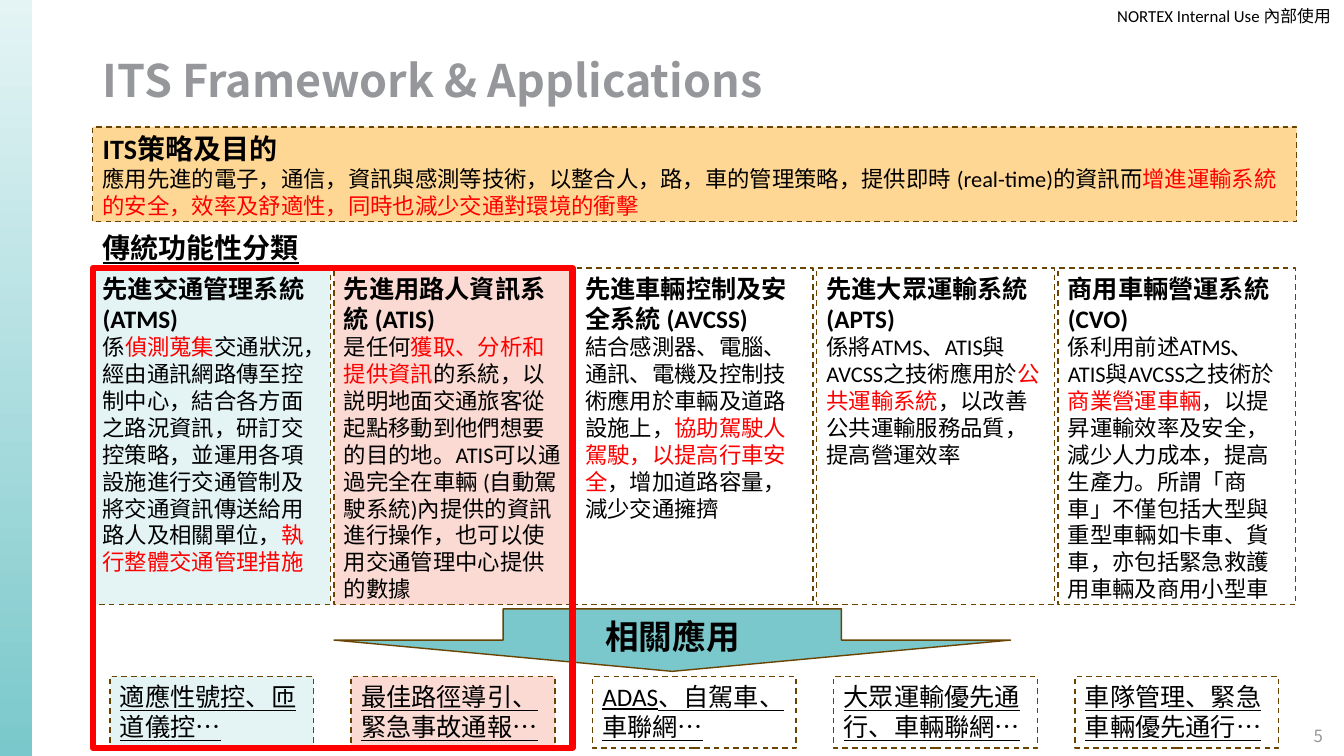
import pptx
import pptx.util
import pptx.dml.color
import pptx.enum.dml
import pptx.enum.shapes
import pptx.enum.text

Inches, Pt = pptx.util.Inches, pptx.util.Pt
RGB = pptx.dml.color.RGBColor.from_string
SHAPE = pptx.enum.shapes.MSO_SHAPE
ALIGN = pptx.enum.text.PP_ALIGN
ANCHOR = pptx.enum.text.MSO_ANCHOR
DASH = pptx.enum.dml.MSO_LINE.DASH

COLORS = {
    "black": "000000", "red": "FF0000", "gray": "95979B", "brown": "6B4300",
    "amber": "FFD794", "mint": "E4F4F5", "pink": "FADAD3", "teal": "7AC8CB",
}
HEADING = {"name": "Calibri", "size": Pt(18), "bold": True}
BODY = {"name": "Calibri", "size": Pt(16), "bold": False}
APPLICATION = {"name": "Calibri", "size": Pt(18), "underline": True}
PITCH = 2.393

# Asterisks enclose the words shown in red.
PURPOSE = ("應用先進的電子，通信，資訊與感測等技術，以整合人，路，車的管理策略，提供即時 (real-time)的資訊而"
           "*增進運輸系統的安全，效率及舒適性，同時也減少交通對環境的衝擊*")
SYSTEMS = [
    ("先進交通管理系統 (ATMS)",
     "係*偵測蒐集*交通狀況，經由通訊網路傳至控制中心，結合各方面之路況資訊，研訂交控策略，"
     "並運用各項設施進行交通管制及將交通資訊傳送給用路人及相關單位，*執行整體交通管理措施*",
     "適應性號控、匝道儀控…", "mint"),
    ("先進用路人資訊系統 (ATIS)",
     "是任何*獲取、分析和提供資訊*的系統，以説明地面交通旅客從起點移動到他們想要的目的地。"
     "ATIS可以通過完全在車輛 (自動駕駛系統)內提供的資訊進行操作，也可以使用交通管理中心提供的數據",
     "最佳路徑導引、緊急事故通報…", "pink"),
    ("先進車輛控制及安全系統 (AVCSS)",
     "結合感測器、電腦、通訊、電機及控制技術應用於車輛及道路設施上，"
     "*協助駕駛人駕駛，以提高行車安全*，增加道路容量，減少交通擁擠",
     "ADAS、自駕車、車聯網…", None),
    ("先進大眾運輸系統 (APTS)",
     "係將ATMS、ATIS與AVCSS之技術應用於*公共運輸系統*，以改善公共運輸服務品質，提高營運效率",
     "大眾運輸優先通行、車輛聯網…", None),
    ("商用車輛營運系統 (CVO)",
     "係利用前述ATMS、ATIS與AVCSS之技術於*商業營運車輛*，以提昇運輸效率及安全，減少人力成本，"
     "提高生產力。所謂「商車」不僅包括大型與重型車輛如卡車、貨車，亦包括緊急救護用車輛及商用小型車",
     "車隊管理、緊急車輛優先通行…", None),
]


def write(tf, paragraphs, color="black", align=ALIGN.LEFT, anchor=ANCHOR.TOP, wrap=True):
    """Fill a frame with (text, font format) paragraphs."""
    tf.word_wrap = wrap
    tf.vertical_anchor = anchor
    for i, (text, fmt) in enumerate(paragraphs):
        p = tf.add_paragraph() if i else tf.paragraphs[0]
        p.alignment = align
        for j, part in enumerate(text.split("*")):
            if part:
                r = p.add_run()
                r.text = part
                for name, value in fmt.items():
                    setattr(r.font, name, value)
                r.font.color.rgb = RGB(COLORS["red" if j % 2 else color])


def add_shape(s, box, kind=SHAPE.RECTANGLE, fill=None, line="brown", width=1, dash=None):
    sp = s.shapes.add_shape(kind, *map(Inches, box))
    sp.shadow.inherit = False
    if fill:
        sp.fill.solid()
        sp.fill.fore_color.rgb = RGB(COLORS[fill])
    else:
        sp.fill.background()
    if line:
        sp.line.color.rgb = RGB(COLORS[line])
        sp.line.width = Pt(width)
        sp.line.dash_style = dash
    else:
        sp.line.fill.background()
    return sp


def add_panel(s, box, paragraphs, fill=None):
    sp = add_shape(s, box, fill=fill, dash=DASH)
    write(sp.text_frame, paragraphs)


def add_label(s, box, text, fmt, **layout):
    tb = s.shapes.add_textbox(*map(Inches, box))
    write(tb.text_frame, [(text, fmt)], **layout)
    return tb


def add_frame(s, width, height):
    """Side band, confidentiality label and page number."""
    band = add_shape(s, (0, 0, 0.32, height), fill="mint", line=None)
    band.fill.gradient()
    band.fill.gradient_angle = 270
    for stop, color in zip(band.fill.gradient_stops, ("mint", "teal")):
        stop.color.rgb = RGB(COLORS[color])
    label = add_label(s, (width - 2.73, 0, 2.6, 0.32), "NORTEX Internal Use 內部使用",
                      {"name": "Calibri", "size": Pt(12)},
                      align=ALIGN.RIGHT, anchor=ANCHOR.MIDDLE)
    for side in ("left", "top", "right", "bottom"):
        setattr(label.text_frame, "margin_" + side, 0)
    add_label(s, (width - 0.47, height - 0.4, 0.43, 0.4), "5",
              {"name": "Noto Sans CJK SC", "size": Pt(12)},
              color="gray", align=ALIGN.CENTER, anchor=ANCHOR.MIDDLE)


def add_title(s, left, top, width, height):
    title = s.shapes.title
    for name, value in zip(("left", "top", "width", "height"), (left, top, width, height)):
        setattr(title, name, Inches(value))
    write(title.text_frame, [("ITS Framework & Applications",
                              {"name": "Noto Sans CJK TC", "size": Pt(32), "bold": True})],
          color="gray", anchor=ANCHOR.MIDDLE)
    title.text_frame.paragraphs[0].line_spacing = 0.9


def add_systems(s, left, top):
    add_label(s, (left, top - 0.42, 2.17, 0.44), "傳統功能性分類",
              {"name": "Arial", "size": Pt(20), "bold": True, "underline": True}, wrap=False)
    for i, (name, text, _, fill) in enumerate(SYSTEMS):
        add_panel(s, (left + i * PITCH, top, 2.36, 3.34), [(name, HEADING), (text, BODY)], fill)


def add_applications(s, left, top):
    add_shape(s, (left + PITCH, top, 6.71, 0.62), SHAPE.DOWN_ARROW, fill="teal")
    add_label(s, (left + 4.57, top + 0.02, 2.36, 0.5), "相關應用",
              {"name": "Noto Sans CJK SC", "size": Pt(24), "bold": True}, align=ALIGN.CENTER)
    for i, (_, _, text, fill) in enumerate(SYSTEMS):
        add_panel(s, (left + 0.17 + i * PITCH, top + 0.67, 2.02, 0.71),
                  [(text, APPLICATION)], fill)


def main():
    prs = pptx.Presentation()
    prs.slide_width, prs.slide_height = Inches(13.33), Inches(7.5)
    s = prs.slides.add_slide(prs.slide_layouts[5])
    left = 0.92
    add_frame(s, 13.33, 7.5)
    add_title(s, left, 0.4, 11.5, 0.85)
    add_panel(s, (left, 1.26, 11.94, 0.94),
              [("ITS策略及目的", dict(HEADING, size=Pt(20))), (PURPOSE, BODY)], "amber")
    add_systems(s, left, 2.66)
    add_applications(s, left, 6.04)
    add_shape(s, (left, 2.66, 4.76, 4.76), line="red", width=4.5)
    prs.save("out.pptx")


if __name__ == "__main__":
    main()
